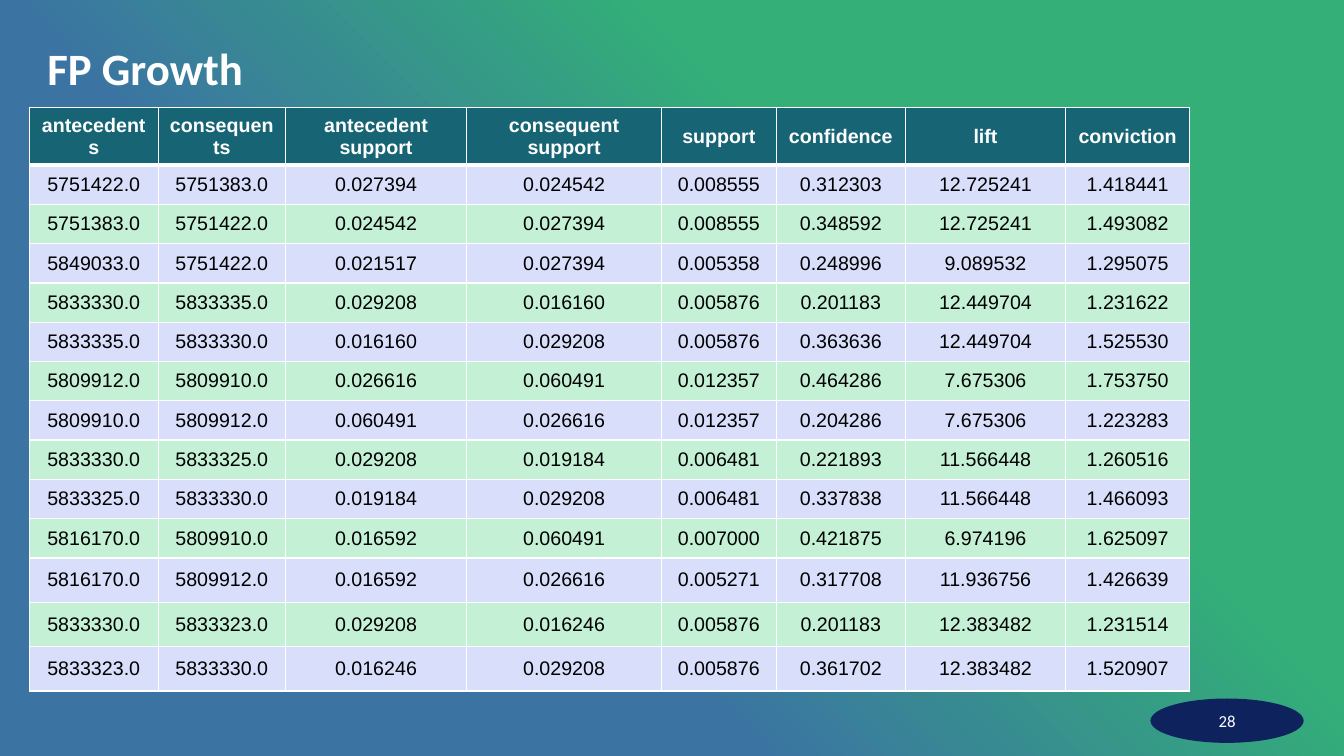
from pptx import Presentation
from pptx.dml.color import RGBColor
from pptx.enum import shapes, text
from pptx.oxml import ns, parse_xml
from pptx.util import Inches, Pt

COLORS = {
    "green": "33AF77",
    "blue": "3B74A3",
    "header": "166474",
    "lavender": "D9DEFA",
    "mint": "C4F0D6",
    "navy": "0E225E",
    "white": "FFFFFF",
    "black": "000000",
}
HEADERS = ["antecedents", "consequents", "antecedent support", "consequent support",
           "support", "confidence", "lift", "conviction"]
RULES = [
    "5751422.0 5751383.0 0.027394 0.024542 0.008555 0.312303 12.725241 1.418441",
    "5751383.0 5751422.0 0.024542 0.027394 0.008555 0.348592 12.725241 1.493082",
    "5849033.0 5751422.0 0.021517 0.027394 0.005358 0.248996 9.089532 1.295075",
    "5833330.0 5833335.0 0.029208 0.016160 0.005876 0.201183 12.449704 1.231622",
    "5833335.0 5833330.0 0.016160 0.029208 0.005876 0.363636 12.449704 1.525530",
    "5809912.0 5809910.0 0.026616 0.060491 0.012357 0.464286 7.675306 1.753750",
    "5809910.0 5809912.0 0.060491 0.026616 0.012357 0.204286 7.675306 1.223283",
    "5833330.0 5833325.0 0.029208 0.019184 0.006481 0.221893 11.566448 1.260516",
    "5833325.0 5833330.0 0.019184 0.029208 0.006481 0.337838 11.566448 1.466093",
    "5816170.0 5809910.0 0.016592 0.060491 0.007000 0.421875 6.974196 1.625097",
    "5816170.0 5809912.0 0.016592 0.026616 0.005271 0.317708 11.936756 1.426639",
    "5833330.0 5833323.0 0.029208 0.016246 0.005876 0.201183 12.383482 1.231514",
    "5833323.0 5833330.0 0.016246 0.029208 0.005876 0.361702 12.383482 1.520907",
]
COLUMN_WIDTHS = [1.28, 1.26, 1.8, 1.93, 1.14, 1.28, 1.59, 1.23]
ROW_HEIGHTS = [0.54] + [0.39] * 10 + [0.44] * 3


def color(name):
    return RGBColor.from_string(COLORS[name])


def style_paragraph(paragraph, font_name, size, font_color, bold=False, align=None):
    font = paragraph.font
    font.name, font.size, font.bold = font_name, Pt(size), bold
    font.color.rgb = color(font_color)
    paragraph.alignment = align


def set_background(slide):
    """Fill the background with a gradient that spreads from the top right corner."""
    stops = "".join(
        f'<a:gs pos="{percent * 1000}"><a:srgbClr val="{COLORS[name]}"/></a:gs>'
        for percent, name in [(0, "green"), (33, "green"), (64, "blue"), (100, "blue")])
    background = parse_xml(
        f'<p:bg {ns.nsdecls("p", "a")}><p:bgPr><a:gradFill rotWithShape="1">'
        f'<a:gsLst>{stops}</a:gsLst><a:path path="circle">'
        '<a:fillToRect l="100000" b="100000"/></a:path></a:gradFill>'
        '<a:effectLst/></p:bgPr></p:bg>')
    slide.element.cSld.insert(0, background)


def add_title(slide, left, top, width, height):
    box = slide.shapes.add_textbox(Inches(left), Inches(top), Inches(width), Inches(height))
    frame = box.text_frame
    frame.word_wrap = True
    frame.vertical_anchor = text.MSO_ANCHOR.MIDDLE
    frame.margin_left = frame.margin_top = frame.margin_right = frame.margin_bottom = 0
    frame.text = "FP Growth"
    paragraph = frame.paragraphs[0]
    paragraph.line_spacing = 0.9
    style_paragraph(paragraph, "Calibri", 32, "white", bold=True)


def set_borders(cell, top, bottom):
    """Draw white cell borders; top and bottom are widths in points."""
    properties = cell._tc.get_or_add_tcPr()
    for index, (side, width) in enumerate([("L", 1), ("R", 1), ("T", top), ("B", bottom)]):
        properties.insert(index, parse_xml(
            f'<a:ln{side} {ns.nsdecls("a")} w="{Pt(width)}"><a:solidFill>'
            f'<a:srgbClr val="{COLORS["white"]}"/></a:solidFill></a:ln{side}>'))


def add_rules_table(slide, left, top):
    rows = [HEADERS] + [rule.split() for rule in RULES]
    table = slide.shapes.add_table(
        len(rows), len(HEADERS), Inches(left), Inches(top),
        Inches(sum(COLUMN_WIDTHS)), Inches(sum(ROW_HEIGHTS))).table
    for column, width in zip(table.columns, COLUMN_WIDTHS):
        column.width = Inches(width)
    for row_index, values in enumerate(rows):
        table.rows[row_index].height = Inches(ROW_HEIGHTS[row_index])
        is_header = row_index == 0
        fill = "header" if is_header else ("mint", "lavender")[row_index % 2]
        for column_index, value in enumerate(values):
            cell = table.cell(row_index, column_index)
            cell.text = value
            cell.vertical_anchor = text.MSO_ANCHOR.MIDDLE
            cell.fill.solid()
            cell.fill.fore_color.rgb = color(fill)
            set_borders(cell, top=3 if row_index == 1 else 1, bottom=3 if is_header else 1)
            style_paragraph(cell.text_frame.paragraphs[0], "Arial", 14,
                            "white" if is_header else "black", bold=is_header,
                            align=text.PP_ALIGN.CENTER)


def add_page_number(slide, left, top, width, height):
    badge = slide.shapes.add_shape(shapes.MSO_SHAPE.OVAL, Inches(left), Inches(top),
                                   Inches(width), Inches(height))
    badge.shadow.inherit = False
    badge.fill.solid()
    badge.fill.fore_color.rgb = color("navy")
    badge.line.fill.background()
    badge.text_frame.text = "28"
    badge.text_frame.vertical_anchor = text.MSO_ANCHOR.MIDDLE
    style_paragraph(badge.text_frame.paragraphs[0], "Calibri", 12, "white",
                    align=text.PP_ALIGN.CENTER)


def main():
    presentation = Presentation()
    presentation.slide_width = Inches(13.33)
    presentation.slide_height = Inches(7.5)
    slide = presentation.slides.add_slide(presentation.slide_layouts[6])
    set_background(slide)
    add_title(slide, 0.47, 0.47, 12.39, 0.47)
    add_rules_table(slide, 0.29, 1.07)
    add_page_number(slide, 11.41, 6.93, 1.52, 0.44)
    presentation.save("out.pptx")


if __name__ == "__main__":
    main()
